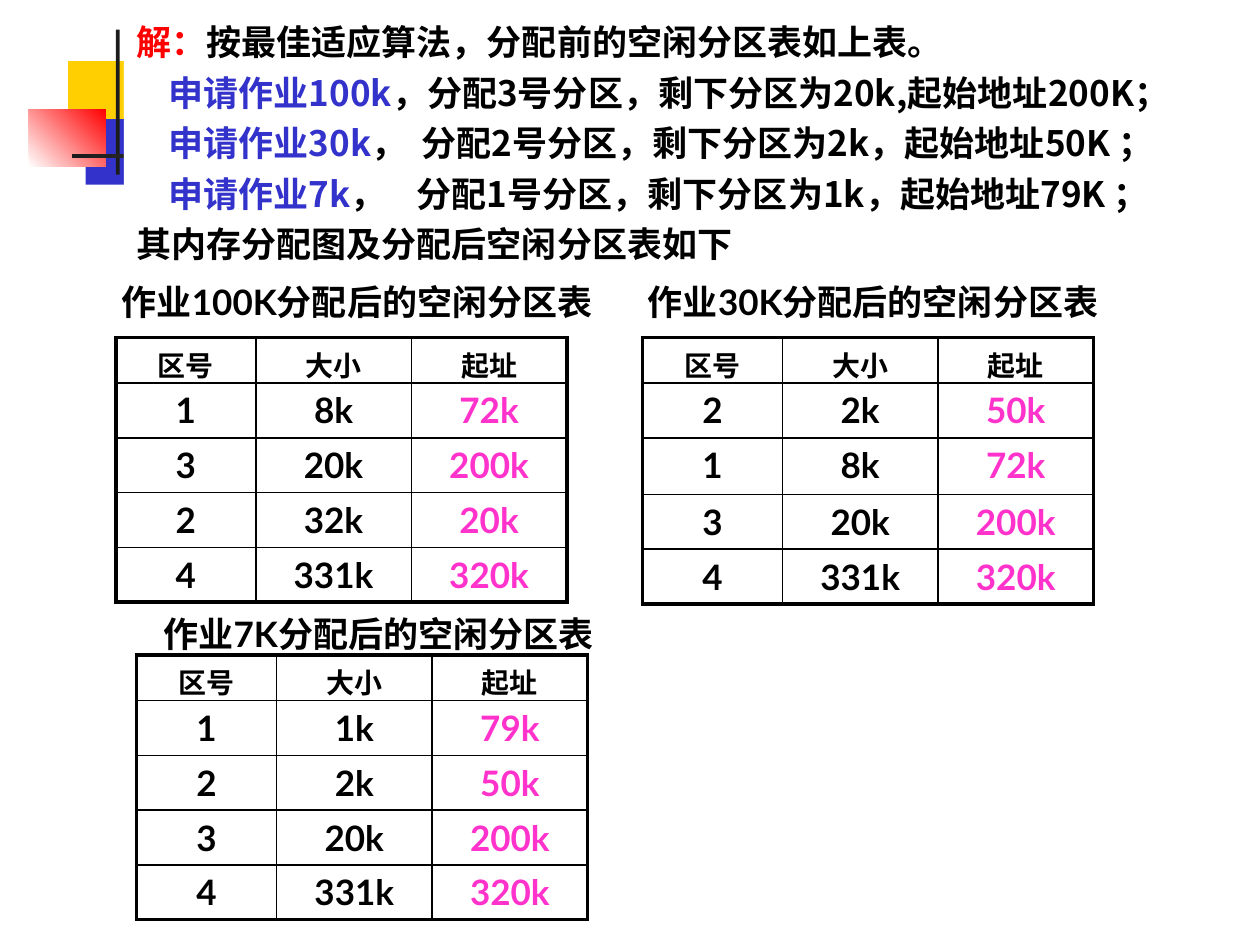
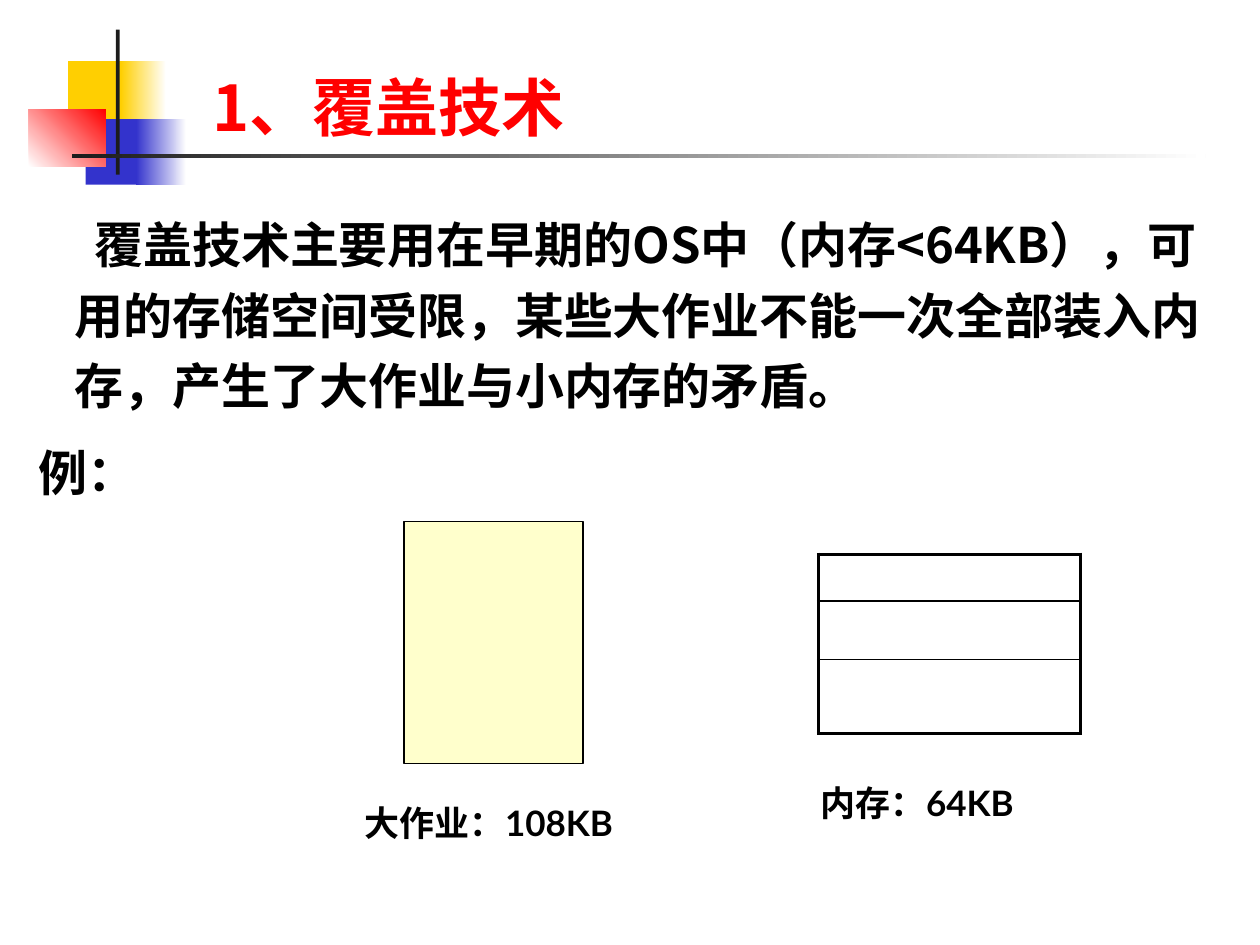
from dataclasses import dataclass

import pptx
import pptx.dml.color
import pptx.enum.shapes
import pptx.enum.text
import pptx.oxml
import pptx.oxml.ns
import pptx.util

ALIGN = pptx.enum.text.PP_ALIGN
ANCHOR = pptx.enum.text.MSO_ANCHOR
CELL = pptx.util.Inches(0.1)  # the slide is a grid of 100 columns by 75 rows
COLUMNS, ROWS = 100, 75


@dataclass(frozen=True)
class Theme:
    black: str = "000000"
    white: str = "FFFFFF"
    red: str = "FF0000"
    blue: str = "3333CC"
    yellow: str = "FFCF01"
    pink: str = "FF33CC"
    cream: str = "FFFFCC"
    ink: str = "1C1C1C"
    latin: str = "Lato"
    chinese: str = "Noto Sans CJK SC"
    title: int = 36
    body: int = 28
    text: int = 20
    header: int = 16
    thin: float = 1
    thick: float = 2.25


THEME = Theme()


@dataclass(frozen=True)
class Box:
    """A place on the grid, in columns and rows."""
    left: float
    top: float
    width: float
    height: float

    def inside(self, left, top, width, height):
        return Box(self.left + left, self.top + top, width, height)

    def lengths(self):
        return [round(side * CELL) for side in (self.left, self.top, self.width, self.height)]


def rgb(color):
    return pptx.dml.color.RGBColor.from_string(color)


def add_rectangle(slide, box, color, fade_to=None, angle=0, line=None):
    shape = slide.shapes.add_shape(pptx.enum.shapes.MSO_SHAPE.RECTANGLE, *box.lengths())
    shape.shadow.inherit = False
    if fade_to:
        shape.fill.gradient()
        shape.fill.gradient_angle = angle
        for stop, stop_color in zip(shape.fill.gradient_stops, (color, fade_to)):
            stop.color.rgb = rgb(stop_color)
    else:
        shape.fill.solid()
        shape.fill.fore_color.rgb = rgb(color)
    if line:
        shape.line.color.rgb = rgb(line)
        shape.line.width = pptx.util.Pt(0.75)
    else:
        shape.line.fill.background()


def add_run(paragraph, text, size, font=THEME.latin, color=THEME.black, spacing=0):
    """Add bold text; spacing is the extra space after each letter, in points."""
    run = paragraph.add_run()
    run.text = text
    run.font.size = pptx.util.Pt(size)
    run.font.name = font
    run.font.bold = True
    run.font.color.rgb = rgb(color)
    if spacing:
        run._r.get_or_add_rPr().set("spc", str(round(spacing * 100)))


def indent(paragraph, left, first_line=0):
    """Set the indents, in columns."""
    properties = paragraph._p.get_or_add_pPr()
    properties.set("marL", str(round(left * CELL)))
    properties.set("indent", str(round(first_line * CELL)))


def add_text_frame(slide, box, anchor=ANCHOR.TOP, fill=None):
    shape = slide.shapes.add_textbox(*box.lengths())
    if fill:
        shape.fill.solid()
        shape.fill.fore_color.rgb = rgb(fill)
    shape.text_frame.word_wrap = True
    shape.text_frame.vertical_anchor = anchor
    return shape.text_frame


def add_caption(slide, box, text, alignment=ALIGN.LEFT):
    paragraph = add_text_frame(slide, box).paragraphs[0]
    paragraph.alignment = alignment
    add_run(paragraph, text, THEME.text)


def set_borders(cell, widths):
    """Draw the left, right, top and bottom borders of a cell."""
    properties = cell._tc.get_or_add_tcPr()
    for position, (side, width) in enumerate(zip("LRTB", widths)):
        properties.insert(position, pptx.oxml.parse_xml(
            f'<a:ln{side} {pptx.oxml.ns.nsdecls("a")} w="{pptx.util.Pt(width)}"><a:solidFill>'
            f'<a:srgbClr val="{THEME.black}"/></a:solidFill></a:ln{side}>'))


def add_framed_table(slide, box, column_widths, row_heights):
    """Add a table with thin inner lines and a thick frame."""
    last_row, last_column = len(row_heights) - 1, len(column_widths) - 1
    table = slide.shapes.add_table(last_row + 1, last_column + 1, *box.lengths()).table
    table.first_row = table.horz_banding = False
    for column, width in zip(table.columns, column_widths):
        column.width = round(width * CELL)
    for row, height in zip(table.rows, row_heights):
        row.height = round(height * CELL)
    for r, row in enumerate(table.rows):
        for c, cell in enumerate(row.cells):
            cell.fill.background()
            on_frame = (c == 0, c == last_column, r == 0, r == last_row)
            set_borders(cell, [THEME.thick if edge else THEME.thin for edge in on_frame])
    return table


def add_partition_table(slide, box, records, row_heights):
    table = add_framed_table(slide, box, (11.1, 12.35, 12.35), row_heights)
    for r, record in enumerate([("区号", "大小", "起址"), *records]):
        for c, value in enumerate(record):
            cell = table.cell(r, c)
            if r == 0:
                cell.margin_bottom = 0
            paragraph = cell.text_frame.paragraphs[0]
            paragraph.alignment = ALIGN.CENTER
            add_run(paragraph, value, THEME.text if r else THEME.header,
                    color=THEME.pink if r and c == 2 else THEME.black)


def add_corner_mark(slide, box, blue_fade):
    """Draw the overlapping squares and the crossed bars."""
    add_rectangle(slide, box.inside(3.1, 2.5, 4.8, 5.2), THEME.yellow)
    add_rectangle(slide, box.inside(7.3, 2.5, 3.6, 5.2), THEME.yellow, THEME.white)
    add_rectangle(slide, box.inside(4.5, 7.1, 4.6, 5.2), THEME.blue)
    if blue_fade:
        add_rectangle(slide, box.inside(8.5, 7.1, 4, 5.2), THEME.blue, THEME.white)
    add_rectangle(slide, box.inside(0, 6.3, 6.1, 4.6), THEME.white, THEME.red, angle=45)
    add_rectangle(slide, box.inside(6.9, 0, 0.3, 11.5), THEME.ink)
    add_rectangle(slide, box.inside(3.4, 9.9, 90, 0.3), THEME.ink, THEME.white)


def add_solution(slide, box):
    text_frame = add_text_frame(slide, box, fill=THEME.white)
    requests = [
        ("申请作业100k", "，", 0, "分配3号分区，剩下分区为20k,起始地址200K；"),
        ("申请作业30k", "， ", 2, "分配2号分区，剩下分区为2k，起始地址50K ；"),
        ("申请作业7k", "， ", 6.6, "分配1号分区，剩下分区为1k，起始地址79K ；"),
    ]
    lines = [
        [("解：", THEME.red, 0), ("按最佳适应算法，分配前的空闲分区表如上表。", THEME.black, 0)],
        *[[(job, THEME.blue, 0), (comma, THEME.black, gap), (result, THEME.black, 0)]
          for job, comma, gap, result in requests],
        [("其内存分配图及分配后空闲分区表如下", THEME.black, 0)],
    ]
    for number, line in enumerate(lines):
        paragraph = text_frame.add_paragraph() if number else text_frame.paragraphs[0]
        paragraph.line_spacing = 1.2
        if len(requests) >= number > 0:
            indent(paragraph, 2.55)
        for text, color, spacing in line:
            add_run(paragraph, text, THEME.text, THEME.chinese, color, spacing)


def add_explanation(slide, box):
    text_frame = add_text_frame(slide, box)
    problem = text_frame.paragraphs[0]
    problem.line_spacing = 1.2
    indent(problem, 3.75, 1.55)
    add_run(problem, "覆盖技术主要用在早期的OS中（内存<64KB），可用的存储空间受限，"
            "某些大作业不能一次全部装入内存，产生了大作业与小内存的矛盾。", THEME.body, THEME.chinese)
    example = text_frame.add_paragraph()
    example.line_spacing = 1.3
    example.space_before = pptx.util.Pt(0.22 * THEME.body)
    indent(example, 0.85)
    add_run(example, "例：", THEME.body, THEME.chinese)


def add_memory_example(slide, box):
    """Show the large job beside the smaller memory."""
    add_rectangle(slide, box.inside(4.1, 0, 14.2, 19.2), THEME.cream, line=THEME.black)
    add_caption(slide, box.inside(0, 21.7, 23.3, 4.3), "大作业：108KB")
    table = add_framed_table(slide, box.inside(37, 2.6, 20.8, 14.2), (20.8,), (3.7, 4.65, 5.85))
    table.cell(0, 0).margin_top = table.cell(0, 0).margin_bottom = 0
    add_caption(slide, box.inside(36.2, 20.1, 23.3, 4.3), "内存：64KB")


def add_base_slide(presentation, blue_fade):
    slide = presentation.slides.add_slide(presentation.slide_layouts[6])
    add_corner_mark(slide, Box(2.3, 2.36, 93.4, 12.3), blue_fade)
    return slide


def build_allocation_slide(presentation):
    slide = add_base_slide(presentation, blue_fade=False)
    add_solution(slide, Box(9.84, 0.5, 90.16, 21))
    even_rows = (3.6, 4.35, 4.35, 4.35, 4.35)
    last_partition = ("4", "331k", "320k")
    steps = [
        ("作业100K分配后的空闲分区表", Box(7.5, 21.8, 41.7, 4.3), Box(9.2, 26.8, 35.8, 21), even_rows,
         [("1", "8k", "72k"), ("3", "20k", "200k"), ("2", "32k", "20k")]),
        ("作业30K分配后的空闲分区表", Box(48.45, 21.8, 41.7, 4.3), Box(51, 26.8, 35.8, 21.15),
         (3.6, 4.35, 4.5, 4.35, 4.35),
         [("2", "2k", "50k"), ("1", "8k", "72k"), ("3", "20k", "200k")]),
        ("作业7K分配后的空闲分区表", Box(9.2, 48.1, 41.7, 4.3), Box(10.85, 52, 35.8, 21), even_rows,
         [("1", "1k", "79k"), ("2", "2k", "50k"), ("3", "20k", "200k")]),
    ]
    for caption, caption_box, table_box, row_heights, records in steps:
        add_partition_table(slide, table_box, [*records, last_partition], row_heights)
        add_caption(slide, caption_box, caption, ALIGN.CENTER)


def build_overlay_slide(presentation):
    slide = add_base_slide(presentation, blue_fade=True)
    title = add_text_frame(slide, Box(15.85, 3.65, 51.7, 8.3), ANCHOR.BOTTOM)
    add_run(title.paragraphs[0], "1、覆盖技术", THEME.title, THEME.chinese, THEME.red)
    add_explanation(slide, Box(1.2, 15.6, 95.7, 34.5))
    add_memory_example(slide, Box(27.97, 41.4, 59.5, 26))


def main():
    presentation = pptx.Presentation()
    presentation.slide_width = COLUMNS * CELL
    presentation.slide_height = ROWS * CELL
    build_allocation_slide(presentation)
    build_overlay_slide(presentation)
    presentation.save("out.pptx")


if __name__ == "__main__":
    main()
